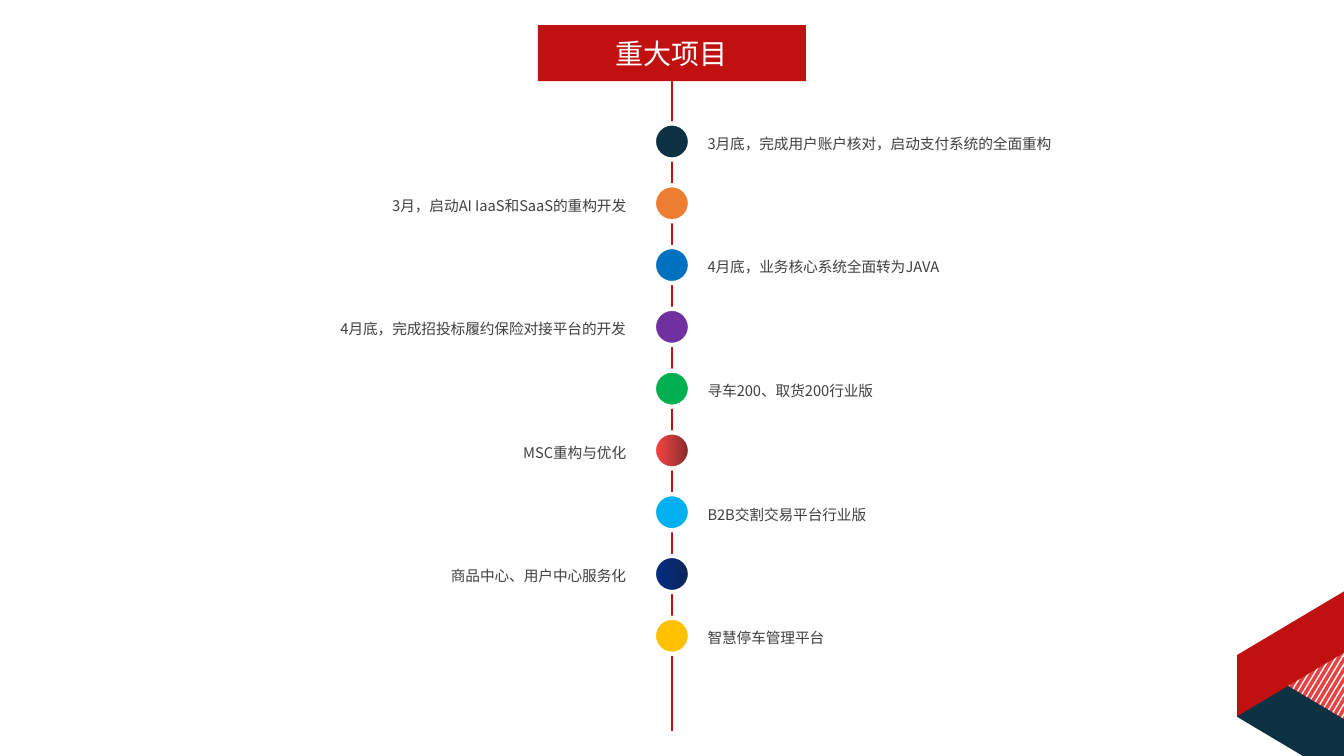
import pptx
import pptx.util
import pptx.dml.color
import pptx.enum.dml
import pptx.enum.shapes
import pptx.enum.text
import pptx.oxml
import pptx.oxml.ns
from pptx.util import Pt

TITLE = "重大项目"
# Milestones from top to bottom: text, dot colour (two colours make a gradient)
MILESTONES = [
    ("3月底，完成用户账户核对，启动支付系统的全面重构", ["0C3143"]),
    ("3月，启动AI IaaS和SaaS的重构开发", ["ED7D31"]),
    ("4月底，业务核心系统全面转为JAVA", ["0070C0"]),
    ("4月底，完成招投标履约保险对接平台的开发", ["7030A0"]),
    ("寻车200、取货200行业版", ["00B050"]),
    ("MSC重构与优化", ["FE4444", "832B2B"]),
    ("B2B交割交易平台行业版", ["00B0F0"]),
    ("商品中心、用户中心服务化", ["012D86", "0E2557"]),
    ("智慧停车管理平台", ["FFC000"]),
]
THEME = {
    "font": "Noto Sans CJK SC",
    "title_size": 20, "label_size": 10.5,
    "red": "C01010", "navy": "0C3143", "stripe": "E84242",
    "white": "FFFFFF", "text": "404040",
}

# Layout in points
WIDTH, HEIGHT = 960, 540
CENTRE = WIDTH / 2
BANNER_TOP, BANNER_WIDTH, BANNER_HEIGHT = 18, 191.5, 40
SPINE_BOTTOM = 522
DOT, FIRST_DOT_CENTRE, STEP = 25.8, 101.1, 44.13
LABEL_WIDTH, LABEL_HEIGHT, FIRST_LABEL_TOP = 286, 23.8, 88.9
RIGHT_LABEL, LEFT_LABEL = 498.3, 168.4
STRIPES, STRIPE_X, STRIPE_TOP, STRIPE_BOTTOM = 13, 903.6, 427, 520
STRIPE_DX, STRIPE_DY = 4.32, 7.08

Align = pptx.enum.text.PP_ALIGN
Anchor = pptx.enum.text.MSO_ANCHOR
Shapes = pptx.enum.shapes.MSO_SHAPE

presentation = pptx.Presentation()
presentation.slide_width, presentation.slide_height = Pt(WIDTH), Pt(HEIGHT)
slide = presentation.slides.add_slide(presentation.slide_layouts[6])


def rgb(value):
    return pptx.dml.color.RGBColor.from_string(value)


def paint(shape, fill, line=None, line_width=1):
    shape.shadow.inherit = False
    shape.fill.solid()
    shape.fill.fore_color.rgb = rgb(fill)
    if line:
        shape.line.color.rgb = rgb(line)
        shape.line.width = Pt(line_width)
    else:
        shape.line.fill.background()


def add_preset(kind, left, top, width, height, *colours):
    shape = slide.shapes.add_shape(kind, Pt(left), Pt(top), Pt(width), Pt(height))
    paint(shape, *colours)
    return shape


def write(shape, text, size, colour, alignment):
    paragraph = shape.text_frame.paragraphs[0]
    run = paragraph.add_run()
    run.text = text
    paragraph.alignment = alignment
    paragraph.font.name = THEME["font"]
    paragraph.font.size = Pt(size)
    paragraph.font.color.rgb = rgb(colour)
    east_asian = pptx.oxml.parse_xml(
        f'<a:ea {pptx.oxml.ns.nsdecls("a")} typeface="{THEME["font"]}"/>')
    run.font.name = THEME["font"]
    run.font.size = Pt(size)
    run.font.color.rgb = rgb(colour)
    run.font._element.append(east_asian)
    return paragraph


# Corner: hatching
for index in range(STRIPES):
    x, top = STRIPE_X + index * STRIPE_DX, STRIPE_TOP + index * STRIPE_DY
    builder = slide.shapes.build_freeform(Pt(WIDTH), Pt(top), scale=1.0)
    builder.add_line_segments([
        (Pt(x), Pt(STRIPE_BOTTOM)), (Pt(x + 1.4), Pt(STRIPE_BOTTOM + 0.8)),
        (Pt(WIDTH), Pt(top + 2.8))], close=True)
    paint(builder.convert_to_shape(), THEME["stripe"], THEME["stripe"])

# Corner: folded ribbon
for top, rotation, colour in ((473, 90, "navy"), (421.9, 270, "red")):
    ribbon = add_preset(Shapes.PARALLELOGRAM, 879.1, top, 94.3, 85, THEME[colour])
    ribbon.adjustments[0] = 0.595
    ribbon.rotation = rotation
    if colour == "red":
        ribbon._element.spPr.find(pptx.oxml.ns.qn("a:xfrm")).set("flipV", "1")

# Title banner and timeline spine
banner = add_preset(Shapes.RECTANGLE, CENTRE - BANNER_WIDTH / 2, BANNER_TOP,
                    BANNER_WIDTH, BANNER_HEIGHT, THEME["red"])
banner.text_frame.vertical_anchor = Anchor.MIDDLE
write(banner, TITLE, THEME["title_size"], THEME["white"], Align.CENTER)
spine = slide.shapes.add_connector(
    pptx.enum.shapes.MSO_CONNECTOR.STRAIGHT, Pt(CENTRE),
    Pt(BANNER_TOP + BANNER_HEIGHT), Pt(CENTRE), Pt(SPINE_BOTTOM))
spine.begin_connect(banner, 2)
spine.line.color.rgb = rgb(THEME["red"])
spine.line.width = Pt(2)
spine._element.spPr.append(
    pptx.oxml.parse_xml(f'<a:effectLst {pptx.oxml.ns.nsdecls("a")}/>'))

# Milestones alternate right and left of the spine
for index, (text, colours) in enumerate(MILESTONES):
    offset = index * STEP
    dot = add_preset(Shapes.OVAL, CENTRE - DOT / 2, FIRST_DOT_CENTRE + offset - DOT / 2,
                     DOT, DOT, colours[0], THEME["white"], 3)
    if len(colours) == 2:
        dot.fill.gradient()
        dot.fill.gradient_angle = 0
        for stop, colour, position in zip(dot.fill.gradient_stops, colours, (0, 1)):
            stop.color.rgb = rgb(colour)
            stop.position = position
    on_right = index % 2 == 0
    label = slide.shapes.add_textbox(
        Pt(RIGHT_LABEL if on_right else LEFT_LABEL), Pt(FIRST_LABEL_TOP + offset),
        Pt(LABEL_WIDTH), Pt(LABEL_HEIGHT))
    label.text_frame.word_wrap = True
    label.text_frame.auto_size = pptx.enum.text.MSO_AUTO_SIZE.SHAPE_TO_FIT_TEXT
    paragraph = write(label, text, THEME["label_size"], THEME["text"],
                      Align.LEFT if on_right else Align.RIGHT)
    paragraph.line_spacing = 1.3

presentation.save("out.pptx")
